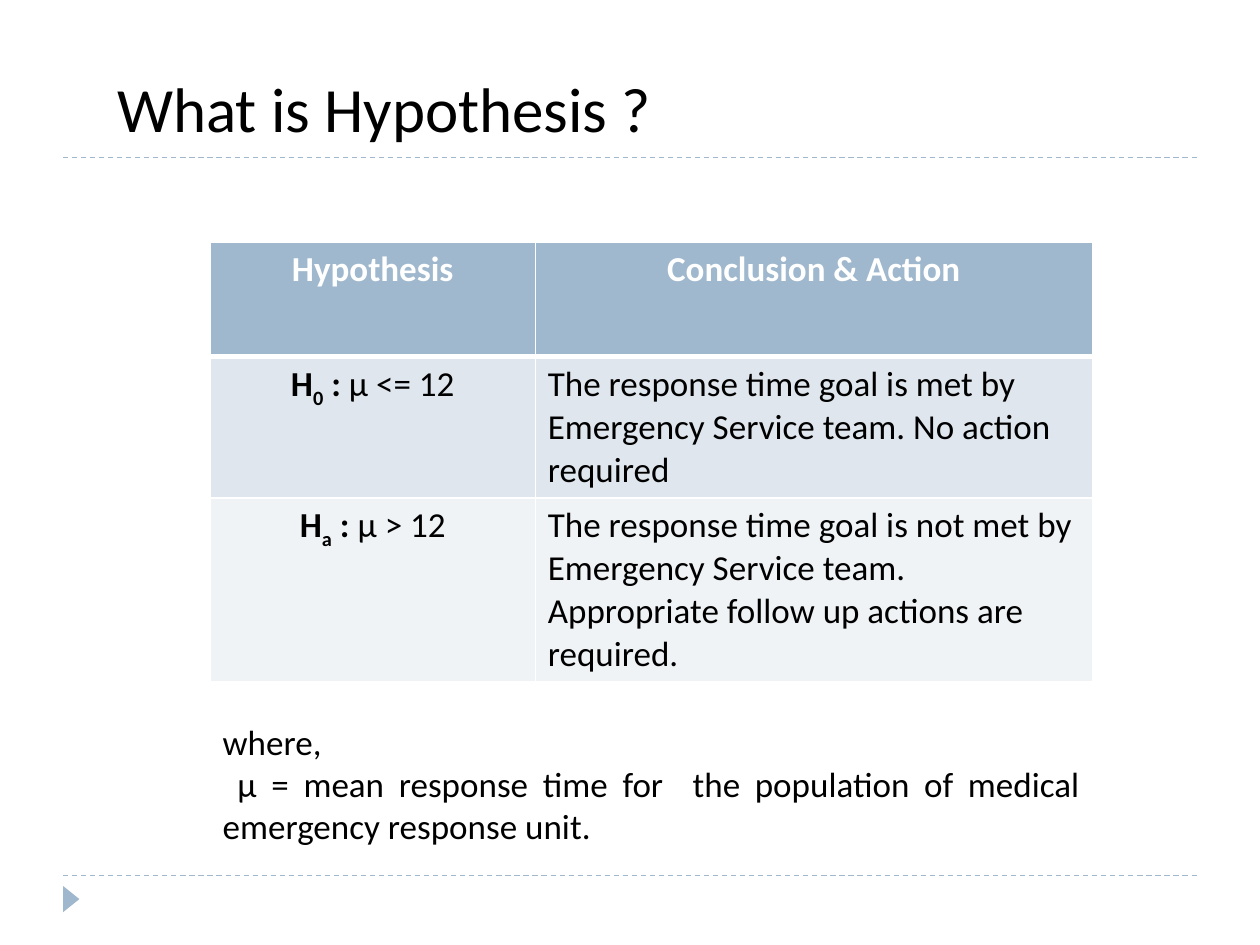
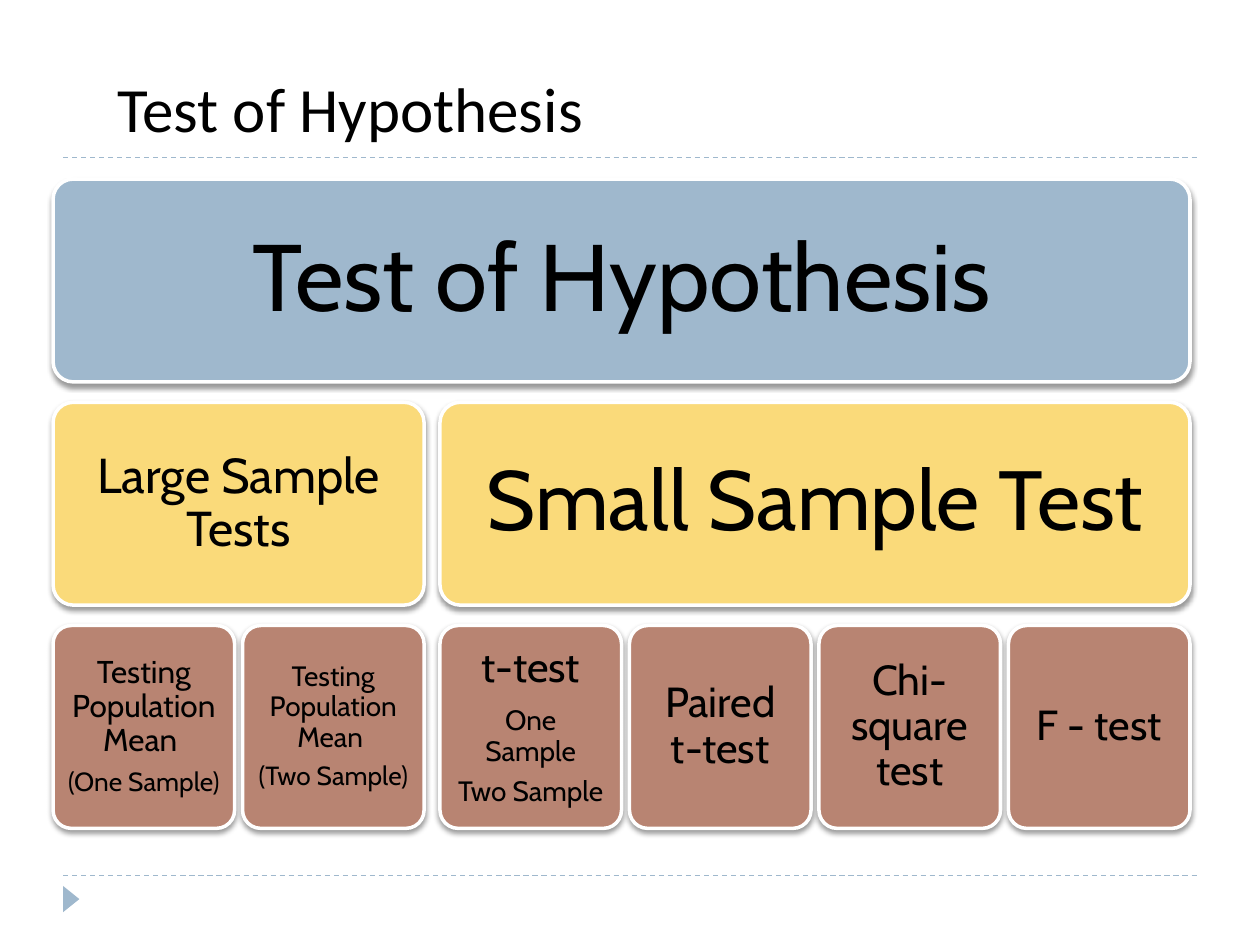
"""Build two slides on hypothesis testing."""
from dataclasses import dataclass
from typing import Any

from lxml import etree
from pptx import Presentation
from pptx import util as u
from pptx.dml.color import RGBColor
from pptx.enum import dml, shapes, text
from pptx.oxml import parse_xml
from pptx.oxml.ns import nsdecls, qn

BLUE = RGBColor(0x9F, 0xB8, 0xCD)
YELLOW = RGBColor(0xFA, 0xDA, 0x7A)
BROWN = RGBColor(0xB8, 0x84, 0x72)
PALE = RGBColor(0xDF, 0xE6, 0xED)
PALER = RGBColor(0xF0, 0xF3, 0xF6)
BLACK = RGBColor(0, 0, 0)
WHITE = RGBColor(0xFF, 0xFF, 0xFF)

SANS, DIAGRAM = "Calibri", "Cabin"
LEFT, CENTER, JUSTIFY = text.PP_ALIGN.LEFT, text.PP_ALIGN.CENTER, text.PP_ALIGN.JUSTIFY

LEAF_W, LEAF_GAP, GROUP_GAP = 3.66, 0.16, 0.16
TREE_LEFT, TREE_TOP, BOX_H, LEVEL_STEP = 1.07, 3.61, 4.09, 4.5
LARGE_LEAVES = 2
LEVEL_FILLS = (BLUE, YELLOW, BROWN)


@dataclass(frozen=True)
class Run:
    """A piece of text with one format."""
    text: str
    size: float = 20
    bold: bool = False
    subscript: bool = False


Para = tuple[Run, ...]


@dataclass(frozen=True)
class Box:
    """A node of the tree that spans leaf columns first to last."""
    level: int
    first: int
    last: int
    inset: float
    paras: tuple[Para, ...]


@dataclass(frozen=True)
class Cell:
    """A table cell with one paragraph."""
    para: Para
    fill: RGBColor
    align: Any = LEFT
    color: RGBColor = BLACK
    bottom: float = 1


TREE = (
    Box(0, 0, 5, 0.58, ((Run("Test of Hypothesis", 54),),)),
    Box(1, 0, 1, 0.3, ((Run("Large Sample Tests", 28),),)),
    Box(2, 0, 0, 0.18, ((Run("Testing Population Mean ", 18),), (Run("(One Sample)", 15),))),
    Box(2, 1, 1, 0.18, ((Run("Testing Population Mean ", 16),), (Run("(Two Sample)", 15),))),
    Box(1, 2, 5, 0.51, ((Run("Small Sample Test", 48),),)),
    Box(2, 2, 2, 0.25, ((Run("t-test", 24),), (Run("One Sample", 16),), (Run("Two Sample", 16),))),
    Box(2, 3, 3, 0.25, ((Run("Paired t-test", 24),),)),
    Box(2, 4, 4, 0.25, ((Run("Chi-square test", 24),),)),
    Box(2, 5, 5, 0.25, ((Run("F - test", 24),),)),
)


def statement(index: str, claim: str) -> Para:
    """Return the runs of a hypothesis such as H0 : claim."""
    return (Run("H", bold=True), Run(index, bold=True, subscript=True),
            Run(" : ", bold=True), Run(claim))


HYPOTHESES = (
    tuple(Cell((Run(head, bold=True),), BLUE, CENTER, WHITE, 3)
          for head in ("Hypothesis", "Conclusion & Action")),
    (Cell(statement("0", "μ <= 12"), PALE, CENTER),
     Cell((Run("The response time goal is met by Emergency Service team. "
               "No action required"),), PALE)),
    (Cell(statement("a", "μ > 12"), PALER, CENTER),
     Cell((Run("The response time goal is not met by Emergency Service team. "
               "Appropriate follow up actions are required."),), PALER)),
)
WHERE = (
    (Run("where,"),),
    (Run(" ", bold=True),
     Run("μ = mean response time for  the population of medical emergency response unit.")),
)


def apply(obj: Any, fmt: dict[str, Any]) -> None:
    """Set every attribute that the format names."""
    for name, value in fmt.items():
        setattr(obj, name, value)


def write(tf: Any, paras: tuple[Para, ...], font: str = SANS, color: RGBColor = BLACK,
          **fmt: Any) -> None:
    """Fill a text frame with formatted paragraphs."""
    for i, para in enumerate(paras):
        p = tf.paragraphs[0] if i == 0 else tf.add_paragraph()
        apply(p, fmt)
        for run in para:
            r = p.add_run()
            r.text = run.text
            apply(r.font, {"name": font, "size": u.Pt(run.size), "bold": run.bold})
            r.font.color.rgb = color
            if run.subscript:
                r.font._element.set("baseline", "-25000")


def add_rule(s: Any, y: float) -> None:
    """Draw a dashed line across the slide."""
    ln = s.shapes.add_connector(shapes.MSO_CONNECTOR.STRAIGHT,
                                u.Cm(1.27), u.Cm(y), u.Cm(24.13), u.Cm(y))
    ln.line.color.rgb = BLUE
    apply(ln.line, {"width": u.Pt(0.75), "dash_style": dml.MSO_LINE.DASH})
    etree.SubElement(ln._element.spPr, qn("a:effectLst"))


def add_base(prs: Any, title: str, width: float) -> Any:
    """Add a slide with its title, rules and corner marker."""
    s = prs.slides.add_slide(prs.slide_layouts[5])
    for y in (17.65, 3.18):
        add_rule(s, y)
    sp = s.shapes.add_shape(shapes.MSO_SHAPE.ISOSCELES_TRIANGLE,
                            u.Cm(1.17), u.Cm(17.96), u.Cm(0.53), u.Cm(0.33))
    sp.rotation = 90
    sp.shadow.inherit = False
    sp.fill.solid()
    sp.fill.fore_color.rgb = BLUE
    sp.line.fill.background()
    head = s.shapes.title
    apply(head, {"left": u.Cm(2.11), "top": u.Cm(1.27),
                 "width": u.Cm(width), "height": u.Cm(1.8)})
    apply(head.text_frame, {"word_wrap": False, "auto_size": text.MSO_AUTO_SIZE.NONE,
                            "vertical_anchor": text.MSO_ANCHOR.TOP})
    write(head.text_frame, ((Run(title, 36),),), alignment=LEFT)
    return s


def add_border(cell: Any, side: str, points: float) -> None:
    """Give one side of a table cell a white border."""
    cell._tc.get_or_add_tcPr().append(parse_xml(
        f'<a:{side} {nsdecls("a")} w="{u.Pt(points)}"><a:solidFill>'
        f'<a:srgbClr val="{WHITE}"/></a:solidFill></a:{side}>'))


def add_hypotheses(s: Any) -> None:
    """Add the table of hypotheses."""
    tbl = s.shapes.add_table(len(HYPOTHESES), 2, u.Cm(4.24), u.Cm(4.88),
                             u.Cm(17.78), u.Cm(6.93)).table
    for col, width in zip(tbl.columns, (6.55, 11.23)):
        col.width = u.Cm(width)
    for i, row in enumerate(HYPOTHESES):
        for j, item in enumerate(row):
            cell = tbl.cell(i, j)
            top = HYPOTHESES[i - 1][j].bottom if i else 1
            for side, points in (("lnL", 1), ("lnR", 1), ("lnT", top), ("lnB", item.bottom)):
                add_border(cell, side, points)
            cell.fill.solid()
            cell.fill.fore_color.rgb = item.fill
            write(cell.text_frame, (item.para,), color=item.color, alignment=item.align)


def add_where(s: Any) -> None:
    """Add the explanation of the symbol below the table."""
    tf = s.shapes.add_textbox(u.Cm(4.24), u.Cm(14.4), u.Cm(17.78), u.Cm(2.82)).text_frame
    tf.word_wrap = True
    write(tf, WHERE, alignment=JUSTIFY)


def leaf_left(i: int) -> float:
    """Return the left edge of a leaf column."""
    return TREE_LEFT + i * (LEAF_W + LEAF_GAP) + (GROUP_GAP if i >= LARGE_LEAVES else 0)


def add_box(s: Any, box: Box) -> None:
    """Draw one node of the tree."""
    left = leaf_left(box.first)
    sp = s.shapes.add_shape(shapes.MSO_SHAPE.ROUNDED_RECTANGLE, u.Cm(left),
                            u.Cm(TREE_TOP + box.level * LEVEL_STEP),
                            u.Cm(leaf_left(box.last) + LEAF_W - left), u.Cm(BOX_H))
    sp.adjustments[0] = 0.1
    sp.fill.solid()
    sp.fill.fore_color.rgb = LEVEL_FILLS[box.level]
    sp.line.color.rgb = WHITE
    sp.line.width = u.Pt(2)
    sp._element.spPr.append(parse_xml(
        f'<a:effectLst {nsdecls("a")}><a:outerShdw blurRad="{u.Pt(3)}" dist="{u.Pt(2)}" '
        f'dir="5400000" rotWithShape="0"><a:srgbClr val="{BLACK}"><a:alpha val="40000"/>'
        '</a:srgbClr></a:outerShdw></a:effectLst>'))
    tf = sp.text_frame
    apply(tf, {"word_wrap": True, "vertical_anchor": text.MSO_ANCHOR.MIDDLE})
    apply(tf, {f"margin_{side}": u.Cm(box.inset) for side in ("left", "top", "right", "bottom")})
    write(tf, box.paras, DIAGRAM, alignment=CENTER, line_spacing=0.9)
    for p in tf.paragraphs:
        after = etree.SubElement(p._p.get_or_add_pPr(), qn("a:spcAft"))
        etree.SubElement(after, qn("a:spcPct"), val="35000")


def main() -> None:
    """Build and save the presentation."""
    prs = Presentation()
    apply(prs, {"slide_width": u.Cm(25.4), "slide_height": u.Cm(19.05)})
    s = add_base(prs, "What is Hypothesis ?", 11.38)
    add_hypotheses(s)
    add_where(s)
    s = add_base(prs, "Test of Hypothesis", 9.98)
    for box in TREE:
        add_box(s, box)
    prs.save("out.pptx")


if __name__ == "__main__":
    main()
